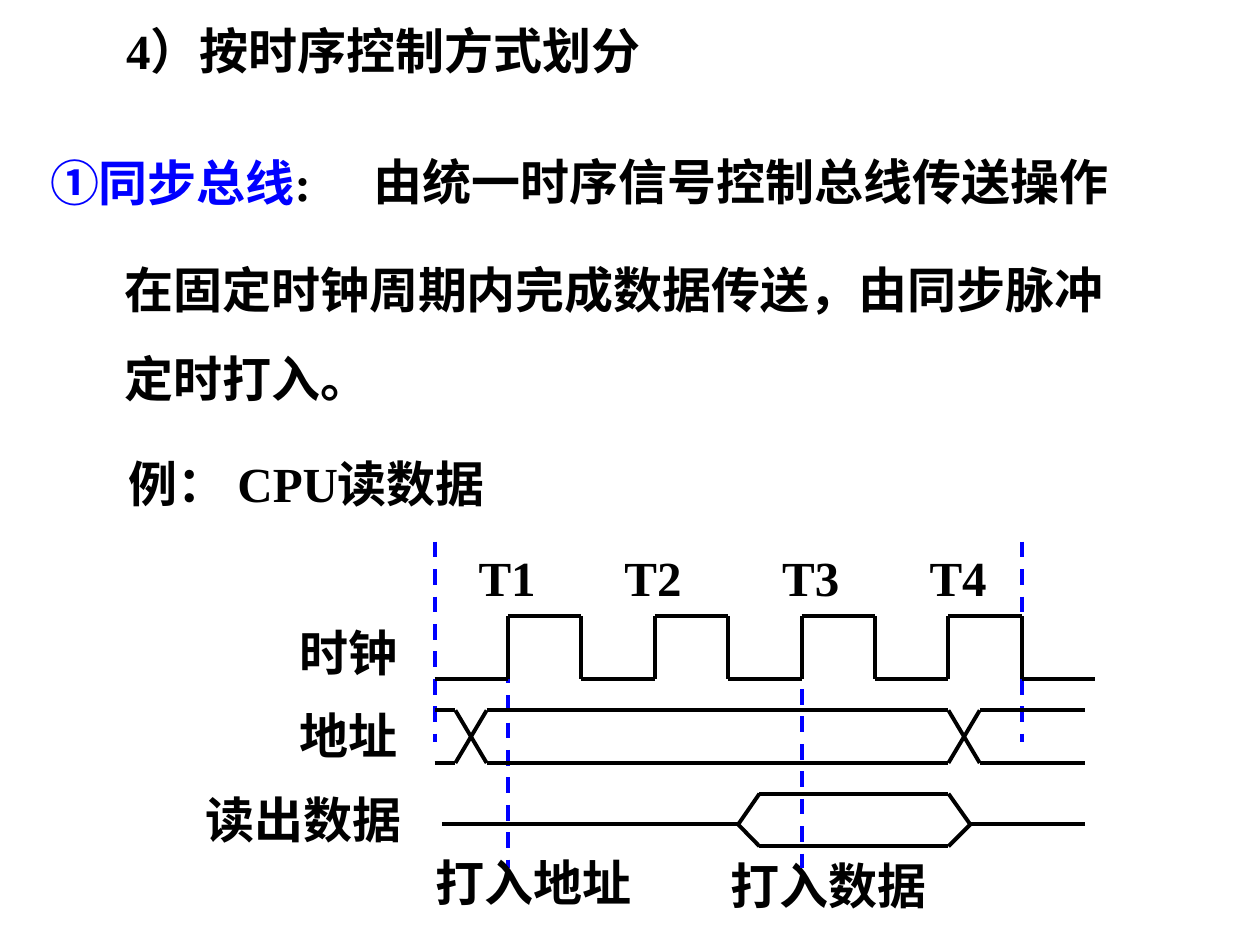
from itertools import pairwise

from lxml import etree
from pptx import Presentation
from pptx.dml.color import RGBColor
from pptx.enum.dml import MSO_LINE
from pptx.enum.shapes import MSO_CONNECTOR
from pptx.enum.text import MSO_ANCHOR, MSO_AUTO_SIZE, PP_ALIGN
from pptx.oxml.ns import qn
from pptx.util import Cm, Pt

BLACK = RGBColor(0x00, 0x00, 0x00)
BLUE = RGBColor(0x00, 0x00, 0xFF)
FONT = "Times New Roman"
STRAIGHT = MSO_CONNECTOR.STRAIGHT
DASH = MSO_LINE.DASH
TOP = MSO_ANCHOR.TOP
LEFT = PP_ALIGN.LEFT
FIT_SHAPE = MSO_AUTO_SIZE.SHAPE_TO_FIT_TEXT

TEXT_HEIGHT = 1.44
HALF_CYCLE = 1.48
CLOCK_HEIGHT = 1.27
SIGNAL_HEIGHT = 1.06
SIGNAL_END = 13.12


def add_span(para, text, color=BLACK, size=28, bold=True):
    """Append one formatted run to a paragraph."""
    span = para.add_run()
    span.text = text
    span.font.name = FONT
    span.font.size = Pt(size)
    span.font.bold = bold
    span.font.color.rgb = color


def fill_box(box, spans, line_spacing=None):
    """Write (text, colour) spans into a box as one left-aligned paragraph."""
    frame = box.text_frame
    frame.word_wrap = True
    frame.auto_size = FIT_SHAPE
    frame.vertical_anchor = TOP
    para = frame.paragraphs[0]
    para.alignment = LEFT
    para.space_before = Pt(0)
    if line_spacing:
        para.line_spacing = line_spacing
    for text, color in spans:
        add_span(para, text, color=color)


def add_text(page, text, left, top, width, height=TEXT_HEIGHT, **formats):
    """Add a text box holding one black span."""
    add_spans(page, [(text, BLACK)], left, top, width, height, **formats)


def add_spans(page, spans, left, top, width, height=TEXT_HEIGHT, **formats):
    """Add a text box holding several coloured spans."""
    box = page.shapes.add_textbox(Cm(left), Cm(top), Cm(width), Cm(height))
    fill_box(box, spans, **formats)


def add_line(page, start, end, color=BLACK, width=2.25, dash=None):
    """Draw a straight line without a shadow."""
    line = page.shapes.add_connector(STRAIGHT, *map(Cm, start + end))
    line.line.color.rgb = color
    line.line.width = Pt(width)
    if dash:
        line.line.dash_style = dash
    etree.SubElement(line.element.spPr, qn("a:effectLst"))


def add_trace(page, left, top, points):
    """Join consecutive points, given relative to a corner, with lines."""
    placed = [(left + x, top + y) for x, y in points]
    for start, end in pairwise(placed):
        add_line(page, start, end)


def add_guide(page, x, top, bottom):
    """Draw a vertical dashed guide."""
    add_line(page, (x, top), (x, bottom), color=BLUE, dash=DASH)


def add_clock(page, left, top):
    """Draw the square clock wave, starting low."""
    points = []
    for step in range(9):
        level = 0 if step % 2 else CLOCK_HEIGHT
        points += [(step * HALF_CYCLE, level), ((step + 1) * HALF_CYCLE, level)]
    add_trace(page, left, top, points)


def add_address(page, left, top):
    """Draw the two address lines, which cross at both changes."""
    change = 7 * HALF_CYCLE
    crossings = [0, 0.42, 1.05, change, change + 0.63, SIGNAL_END]
    for first, second in ((0, SIGNAL_HEIGHT), (SIGNAL_HEIGHT, 0)):
        levels = [first, first, second, second, first, first]
        add_trace(page, left, top, list(zip(crossings, levels)))


def add_data(page, left, top):
    """Draw the data line, which opens into a hexagon while valid."""
    middle = 0.62
    opening, closing = 6.12, 10.8
    add_trace(page, left, top, [(0.15, middle), (opening, middle)])
    for level in (0, SIGNAL_HEIGHT):
        add_trace(page, left, top, [
            (opening, middle), (opening + 0.43, level),
            (closing - 0.44, level), (closing, middle)])
    add_trace(page, left, top, [(closing, middle), (SIGNAL_END, middle)])


def add_timing_diagram(page, left, top):
    """Draw the read cycle with its guides, labels and three signals."""
    for step, start, end in ((8, 0, 4.04), (0, 0, 4.04), (1, 2.54, 6.58)):
        add_guide(page, left + step * HALF_CYCLE, top + start, top + end)
    labels = [
        ("打入地址", -0.23, 6.15, 5.28), ("打入数据", 5.72, 6.2, 5.28),
        ("时钟", -2.97, 1.5, 3.81), ("地址", -2.97, 3.18, 3.81),
        ("读出数据", -4.87, 4.88, 5.28),
        ("T1", 0.64, 0, 2.74), ("T2", 3.58, 0, 2.74),
        ("T3", 6.76, 0, 2.74), ("T4", 9.73, 0, 2.74),
    ]
    for text, x, y, width in labels:
        add_text(page, text, left + x, top + y, width)
    dot = (left + 0.84, top + 2.97)
    add_line(page, dot, dot, width=1)
    add_clock(page, left, top + 1.5)
    add_address(page, left, top + 3.4)
    add_data(page, left, top + 5.08)
    add_guide(page, left + 5 * HALF_CYCLE, top + 2.97, top + 6.58)


def add_title(page, text, left, top, width):
    """Move the title placeholder into place and fill it."""
    title = page.shapes.title
    title.left, title.top = Cm(left), Cm(top)
    title.width, title.height = Cm(width), Cm(TEXT_HEIGHT)
    fill_box(title, [(text, BLACK)])


def add_explanation(page, left, top):
    """Write the definition of the synchronous bus and the example line."""
    add_spans(page, [("①同步总线", BLUE), (":", BLACK)], left, top + 0.03, 11.8)
    add_text(page, "由统一时序信号控制总线传送操作", left + 6.53, top, 17.42)
    add_text(page, "在固定时钟周期内完成数据传送，由同步脉冲定时打入。",
             left + 1.5, top + 1.6, 21.11, 3.84, line_spacing=1.5)
    add_text(page, "例： CPU读数据", left + 1.58, top + 6.1, 9.22)


def main():
    """Build the slide and save the deck."""
    deck = Presentation()
    deck.slide_width, deck.slide_height = Cm(25.4), Cm(19.05)
    page = deck.slides.add_slide(deck.slide_layouts[5])
    add_title(page, "4）按时序控制方式划分", 2.29, 0.28, 14.6)
    add_explanation(page, 0.76, 2.92)
    add_timing_diagram(page, 8.76, 10.92)
    deck.save("out.pptx")


if __name__ == "__main__":
    main()
